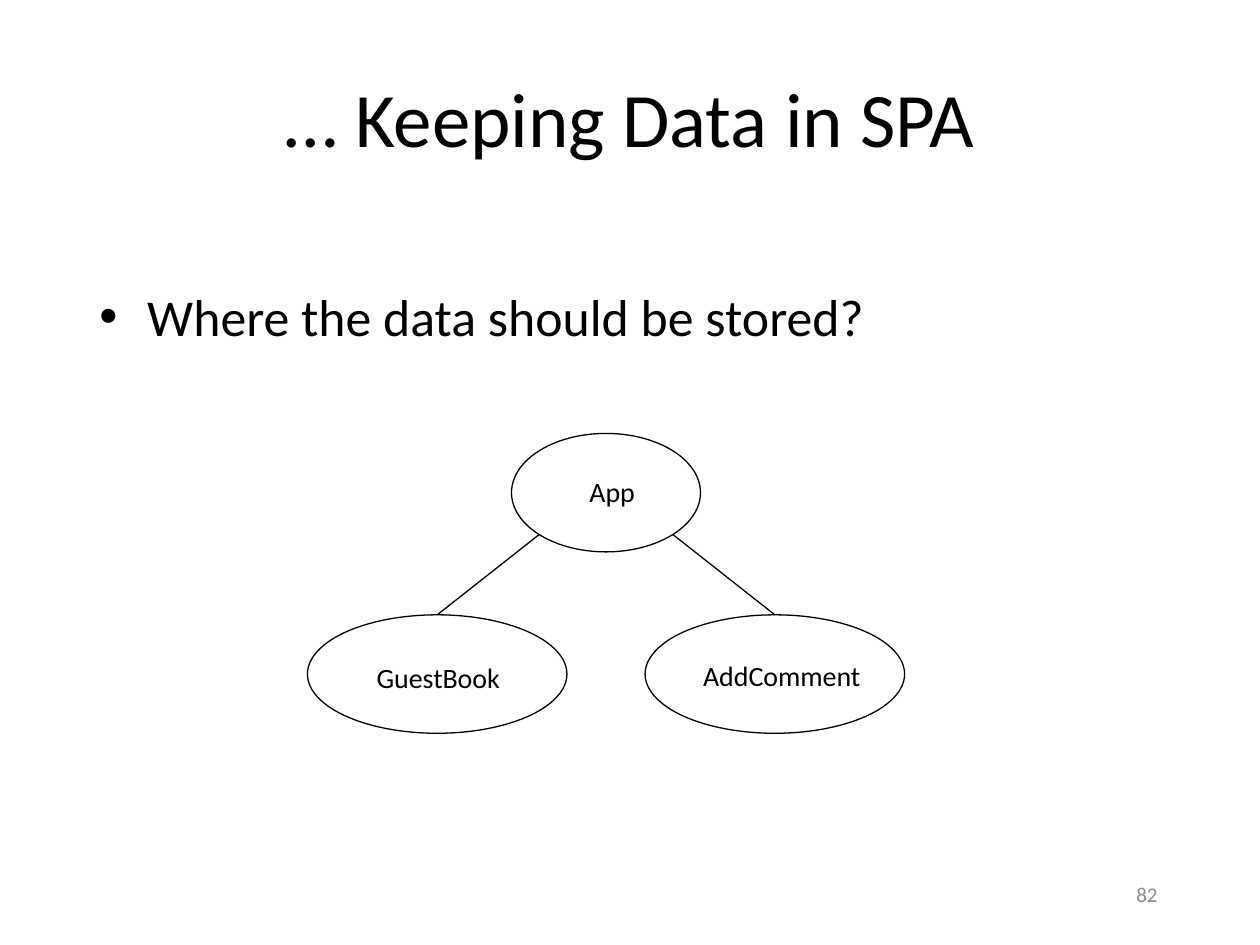
import math

from lxml import etree
from pptx import Presentation
from pptx.dml.color import RGBColor
from pptx.enum import shapes, text
from pptx.oxml.ns import qn
from pptx.util import Inches, Pt

BLACK = RGBColor(0x00, 0x00, 0x00)
GRAY = RGBColor(0x8C, 0x8C, 0x8C)
FONT = "Calibri"
NODE_H = 0.94
APP = (4.06, 3.44, 1.5)  # left, top, width
CHILDREN = [(2.44, 4.88, 2.06), (5.12, 4.88, 2.06)]


def write(sp, content, size, color=BLACK, align=text.PP_ALIGN.LEFT,
          anchor=text.MSO_ANCHOR.TOP, wrap=True, bullet=None, indent=0):
    tf = sp.text_frame
    tf.word_wrap = wrap
    tf.auto_size = text.MSO_AUTO_SIZE.NONE
    tf.vertical_anchor = anchor
    p = tf.paragraphs[0]
    p.text = content
    p.alignment = align
    if bullet:
        pPr = p._p.get_or_add_pPr()
        pPr.set("marL", str(Inches(indent)))
        pPr.set("indent", str(-Inches(indent)))
        etree.SubElement(pPr, qn("a:buFont")).set("typeface", "Arial")
        etree.SubElement(pPr, qn("a:buChar")).set("char", bullet)
    font = p.runs[0].font
    font.name, font.size, font.color.rgb = FONT, Pt(size), color


def add_title(s, content):
    sp = s.shapes.title
    sp.left, sp.top = Inches(0.5), Inches(0.3)
    sp.width, sp.height = Inches(9), Inches(1.25)
    write(sp, content, 44, align=text.PP_ALIGN.CENTER,
          anchor=text.MSO_ANCHOR.MIDDLE)


def add_text(s, box, content, size, **fmt):
    sp = s.shapes.add_textbox(*map(Inches, box))
    write(sp, content, size, **fmt)


def add_node(s, left, top, width):
    sp = s.shapes.add_shape(shapes.MSO_SHAPE.OVAL, Inches(left), Inches(top),
                            Inches(width), Inches(NODE_H))
    sp.shadow.inherit = False
    sp.fill.background()
    sp.line.color.rgb = BLACK
    sp.line.width = Pt(0.75)


def add_edge(s, parent, child):
    """Join the parent's lower diagonal point to the top of the child."""
    left, top, width = parent
    parent_x = left + width / 2
    child_x = child[0] + child[2] / 2
    diagonal = math.sqrt(0.5)
    start_x = parent_x + math.copysign(width / 2 * diagonal, child_x - parent_x)
    start_y = top + NODE_H / 2 * (1 + diagonal)
    ln = s.shapes.add_connector(
        shapes.MSO_CONNECTOR.STRAIGHT, Inches(start_x), Inches(start_y),
        Inches(child_x), Inches(child[1]))
    ln.line.color.rgb = BLACK
    ln.line.width = Pt(0.75)
    etree.SubElement(ln._element.spPr, qn("a:effectLst"))


def main():
    prs = Presentation()
    prs.slide_width, prs.slide_height = Inches(10), Inches(7.5)
    s = prs.slides.add_slide(prs.slide_layouts[5])

    # Title and question
    add_title(s, "… Keeping Data in SPA")
    add_text(s, (0.69, 2.21, 7.62, 0.56), "Where the data should be stored?",
             29.6, bullet="•", indent=0.38)

    # Component tree
    for node in [APP, *CHILDREN]:
        add_node(s, *node)
    for child in CHILDREN:
        add_edge(s, APP, child)

    # Component names
    add_text(s, (4.58, 3.72, 0.57, 0.37), "App", 16, wrap=False)
    add_text(s, (2.89, 5.19, 1.2, 0.37), "GuestBook", 16, wrap=False)
    add_text(s, (5.47, 5.18, 1.47, 0.37), "AddComment", 16, wrap=False,
             align=text.PP_ALIGN.CENTER)

    # Slide number
    add_text(s, (8.92, 6.9, 0.58, 0.4), "82", 12, color=GRAY,
             anchor=text.MSO_ANCHOR.MIDDLE)
    prs.save("out.pptx")


if __name__ == "__main__":
    main()
